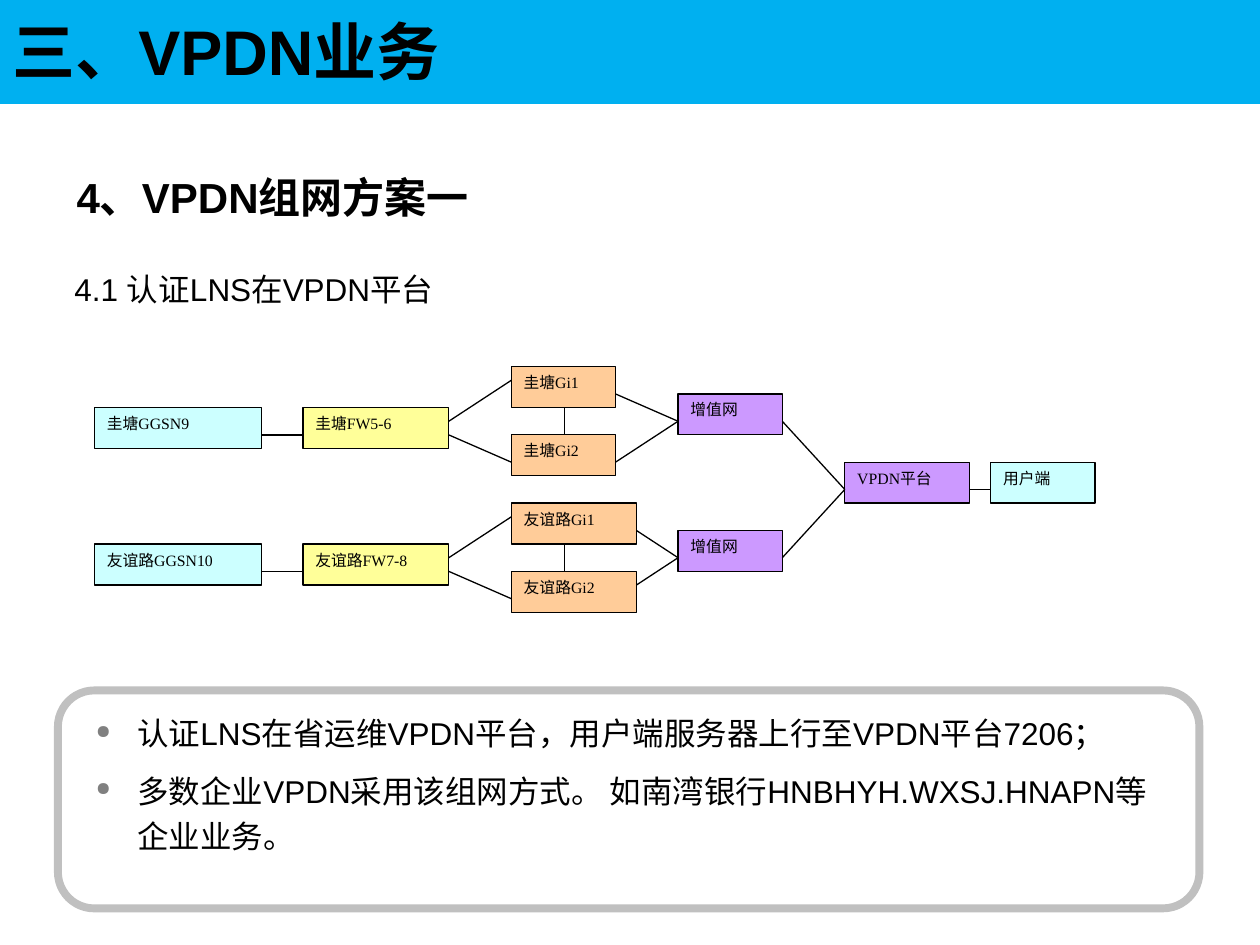
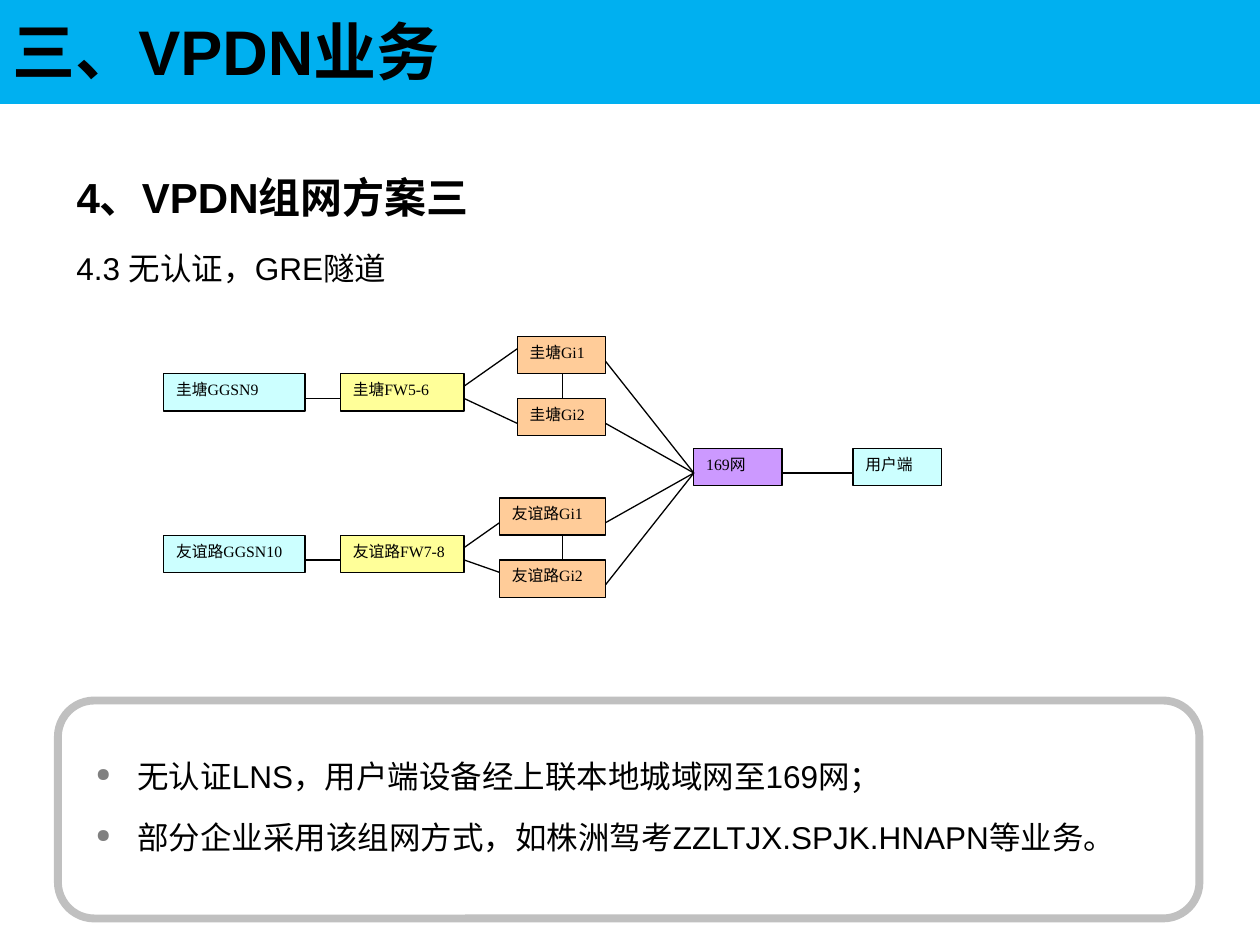
from dataclasses import dataclass

from lxml import etree
from pptx import Presentation
from pptx.dml.color import RGBColor
from pptx.enum.shapes import MSO_CONNECTOR, MSO_SHAPE
from pptx.enum.text import MSO_ANCHOR, PP_ALIGN
from pptx.oxml.ns import qn
from pptx.util import Emu, Inches, Pt

RECTANGLE = MSO_SHAPE.RECTANGLE
ROUNDED = MSO_SHAPE.ROUNDED_RECTANGLE
STRAIGHT = MSO_CONNECTOR.STRAIGHT
TOP = MSO_ANCHOR.TOP
LEFT, CENTER, JUSTIFY = PP_ALIGN.LEFT, PP_ALIGN.CENTER, PP_ALIGN.JUSTIFY

BLACK, WHITE = "000000", "FFFFFF"
BAND, FRAME, BULLET = "00B0F0", "C0C0C0", "808080"
CYAN, YELLOW, ORANGE, PURPLE = "CCFFFF", "FFFF99", "FFCC99", "CC99FF"
HEADING_FONT, NODE_FONT = "Arial", "Times New Roman"
NODE_ROWS = 3
TRUNK_COLUMN = 22.55


@dataclass(frozen=True)
class Grid:
    """An area in inches, divided into equal columns and rows."""
    left: float
    top: float
    width: float
    height: float
    columns: int
    rows: int

    def x(self, column: float) -> Emu:
        return Inches(self.left + self.width * column / self.columns)

    def y(self, row: float) -> Emu:
        return Inches(self.top + self.height * row / self.rows)

    def area(self, column: float, row: float, wide: float, high: float) -> tuple:
        left, top = self.x(column), self.y(row)
        return left, top, self.x(column + wide) - left, self.y(row + high) - top


PAGE = Grid(0, 0, 10, 7.5, 100, 75)


@dataclass(frozen=True)
class Node:
    text: str
    fill: str
    column: float
    row: float
    columns: float = 5


@dataclass(frozen=True)
class Link:
    start: tuple[float, float]
    end: tuple[float, float]


@dataclass(frozen=True)
class Site:
    """Gateway, firewall and two routers; entry and exit rows count from row."""
    name: str
    gateway: str
    firewall: str
    row: int
    router_left: int
    router_right: int
    entries: tuple[int, int]
    exits: tuple[int, int]
    hub: tuple[int, int]

    def nodes(self) -> list[Node]:
        routers = [Node(f"{self.name}Gi{index + 1}", ORANGE, self.router_left,
                        self.row + 5 * index, self.router_right - self.router_left)
                   for index in range(2)]
        return [Node(self.name + self.gateway, CYAN, 0, self.row + 3, 8),
                Node(self.name + self.firewall, YELLOW, 10, self.row + 3, 7),
                *routers]

    def links(self) -> list[Link]:
        row = self.row
        links = [Link((8, row + 5), (10, row + 5)),
                 Link((TRUNK_COLUMN, row + 3), (TRUNK_COLUMN, row + 5))]
        for index in range(2):
            links.append(Link((17, row + 4 + index),
                              (self.router_left, row + self.entries[index])))
            links.append(Link((self.router_right, row + self.exits[index]), self.hub))
        return links


@dataclass(frozen=True)
class Plan:
    heading: str
    subheading: str
    subheading_area: tuple[float, float, float, float]
    first_indent: float
    grid: Grid
    sites: tuple[Site, ...]
    nodes: tuple[Node, ...]
    links: tuple[Link, ...]
    panel_row: float
    body_row: float
    body_rows: float
    line_spacing: float
    points: tuple[str, ...]


PLANS = (
    Plan("4、VPDN组网方案一", "4.1 认证LNS在VPDN平台", (2.3, 20.9, 34.3, 7), 0.14,
         Grid(0.75, 2.91, 7.94, 1.95, 48, 18),
         (Site("圭塘", "GGSN9", "FW5-6", 0, 20, 25, (1, 7), (2, 7), (28, 4)),
          Site("友谊路", "GGSN10", "FW7-8", 10, 20, 26, (1, 7), (2, 6), (28, 14))),
         (Node("增值网", PURPLE, 28, 2), Node("增值网", PURPLE, 28, 12),
          Node("VPDN平台", PURPLE, 36, 7, 6), Node("用户端", CYAN, 43, 7)),
         (Link((33, 4), (36, 9)), Link((33, 14), (36, 9)), Link((42, 9), (43, 9))),
         54.8, 55.7, 14.9, 1.2,
         ("认证LNS在省运维VPDN平台，用户端服务器上行至VPDN平台7206；",
          "多数企业VPDN采用该组网方式。 如南湾银行HNBHYH.WXSJ.HNAPN等企业业务。")),
    Plan("4、VPDN组网方案三", "4.3 无认证，GRE隧道", (1.7, 19.3, 32.6, 4), 0.07,
         Grid(1.3, 2.67, 6.17, 2.07, 44, 21),
         (Site("圭塘", "GGSN9", "FW5-6", 0, 20, 25, (1, 7), (2, 7), (30, 11)),
          Site("友谊路", "GGSN10", "FW7-8", 13, 19, 25, (2, 6), (2, 7), (30, 11))),
         (Node("169网", PURPLE, 30, 9), Node("用户端", CYAN, 39, 9)),
         (Link((35, 11), (39, 11)),),
         55.6, 58.8, 10.2, 1.3,
         ("无认证LNS，用户端设备经上联本地城域网至169网；",
          "部分企业采用该组网方式，如株洲驾考ZZLTJX.SPJK.HNAPN等业务。")),
)


def color(value: str) -> RGBColor:
    return RGBColor.from_string(value)


def add_box(slide, kind, area: tuple, fill: str, line: str, weight: float):
    shape = slide.shapes.add_shape(kind, *area)
    shape.shadow.inherit = False
    shape.fill.solid()
    shape.fill.fore_color.rgb = color(fill)
    shape.line.color.rgb = color(line)
    shape.line.width = Pt(weight)
    return shape


def set_font(paragraph, size: float, name: str, bold: bool = False) -> None:
    paragraph.font.size = Pt(size)
    paragraph.font.name = name
    paragraph.font.bold = bold
    paragraph.font.color.rgb = color(BLACK)


def write(shape, text: str, size: float, name: str = HEADING_FONT,
          bold: bool = False, alignment=LEFT):
    frame = shape.text_frame
    frame.word_wrap = True
    frame.vertical_anchor = TOP
    paragraph = frame.paragraphs[0]
    paragraph.text = text
    paragraph.alignment = alignment
    set_font(paragraph, size, name, bold)
    return paragraph


def add_text(slide, area: tuple, text: str, size: float, **style):
    return write(slide.shapes.add_textbox(*PAGE.area(*area)), text, size, **style)


def add_link(slide, grid: Grid, link: Link) -> None:
    connector = slide.shapes.add_connector(
        STRAIGHT, grid.x(link.start[0]), grid.y(link.start[1]),
        grid.x(link.end[0]), grid.y(link.end[1]))
    connector.line.color.rgb = color(BLACK)
    connector.line.width = Pt(0.75)
    etree.SubElement(connector._element.spPr, qn("a:effectLst"))


def add_bullet(paragraph) -> None:
    properties = paragraph._p.get_or_add_pPr()
    properties.set("marL", str(Inches(0.33)))
    properties.set("indent", str(-Inches(0.33)))
    bullet_color = etree.SubElement(properties, qn("a:buClr"))
    etree.SubElement(bullet_color, qn("a:srgbClr"), val=BULLET)
    etree.SubElement(properties, qn("a:buSzPct"), val="60000")
    etree.SubElement(properties, qn("a:buChar"), char="●")


def add_header(slide, plan: Plan) -> None:
    add_box(slide, RECTANGLE, PAGE.area(0, 0, 100, 8.1), BAND, BAND, 2)
    add_text(slide, (0, 0.5, 82.3, 7), "三、VPDN业务", 36, bold=True)
    add_text(slide, (5.1, 13.1, 85, 7.1), plan.heading, 24, bold=True)
    paragraph = add_text(slide, plan.subheading_area, plan.subheading, 18,
                         alignment=CENTER)
    paragraph._p.get_or_add_pPr().set("indent", str(Inches(plan.first_indent)))


def add_diagram(slide, plan: Plan) -> None:
    nodes, links = list(plan.nodes), list(plan.links)
    for site in plan.sites:
        nodes += site.nodes()
        links += site.links()
    for node in nodes:
        area = plan.grid.area(node.column, node.row, node.columns, NODE_ROWS)
        shape = add_box(slide, RECTANGLE, area, node.fill, BLACK, 0.75)
        write(shape, node.text, 9, NODE_FONT, alignment=JUSTIFY)
    for link in links:
        add_link(slide, plan.grid, link)


def add_panel(slide, plan: Plan) -> None:
    add_box(slide, ROUNDED, PAGE.area(4.6, plan.panel_row, 90.6, 17.3),
            WHITE, FRAME, 4.5)
    area = PAGE.area(6.7, plan.body_row, 86.1, plan.body_rows)
    frame = slide.shapes.add_textbox(*area).text_frame
    frame.word_wrap = True
    frame.margin_left = frame.margin_right = Inches(0.09)
    frame.margin_top = frame.margin_bottom = Inches(0.04)
    for index, point in enumerate(plan.points):
        paragraph = frame.add_paragraph() if index else frame.paragraphs[0]
        paragraph.text = point
        add_bullet(paragraph)
        paragraph.line_spacing = plan.line_spacing
        if index:
            paragraph.space_before = Pt(6.8)
        set_font(paragraph, 18, HEADING_FONT)


def main() -> None:
    presentation = Presentation()
    presentation.slide_width = Inches(PAGE.width)
    presentation.slide_height = Inches(PAGE.height)
    blank = presentation.slide_layouts[6]
    for plan in PLANS:
        slide = presentation.slides.add_slide(blank)
        add_header(slide, plan)
        add_diagram(slide, plan)
        add_panel(slide, plan)
    presentation.save("out.pptx")


if __name__ == "__main__":
    main()
